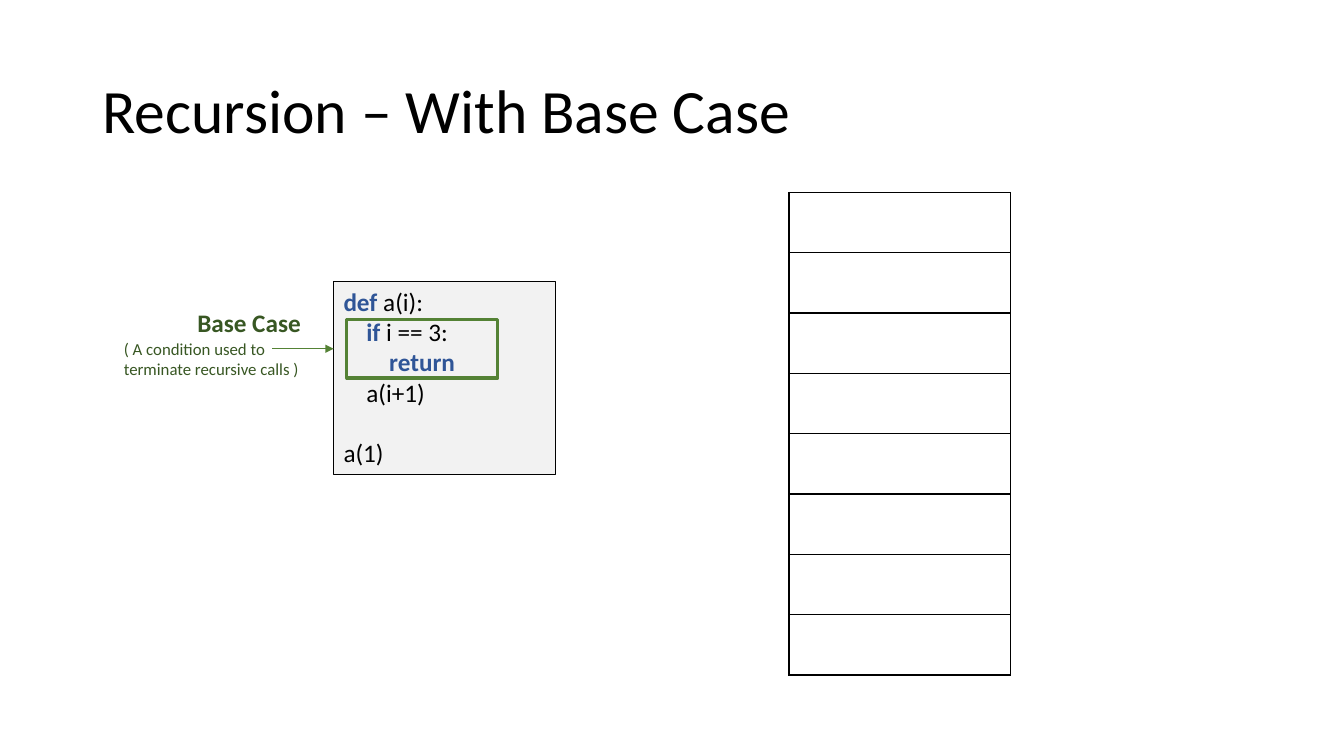
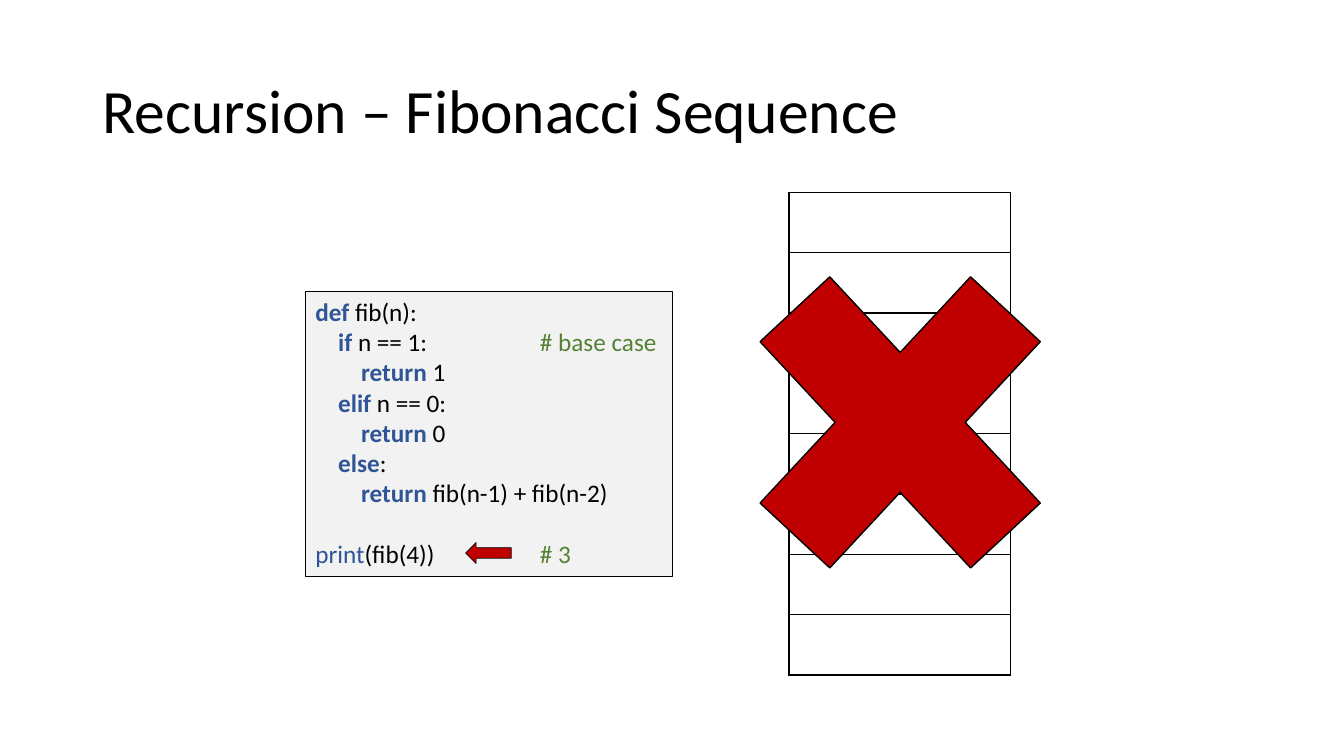
from lxml.etree import SubElement
from pptx import Presentation
from pptx.dml.color import RGBColor
from pptx.enum.shapes import MSO_CONNECTOR as Connector, MSO_SHAPE as Shape
from pptx.enum.text import MSO_ANCHOR as Anchor, PP_ALIGN as Align
from pptx.oxml import parse_xml
from pptx.oxml.ns import nsdecls, qn
from pptx.util import Pt

# Shared style
FONT = "Calibri"
BLACK, GREY = "000000", "F2F2F2"
KEYWORD_BLUE, GREEN, DARK_GREEN, RED = "2F5597", "548235", "385723", "C00000"
CODE_SIZE = 18
LINE_HEIGHT = 21.6
INDENT_STEP = 16.3
COMMENT_TAB = 160.4
FRAME_COUNT, FRAME_WIDTH, FRAME_HEIGHT = 8, 158.4, 43.1
STACK_LEFT, STACK_TOP = 563.6, 137.4


def color(hex_text):
    return RGBColor.from_string(hex_text)


def points(*lengths):
    return [Pt(length) for length in lengths]


def add_text(paragraph, text, size=CODE_SIZE, ink=BLACK, bold=False):
    run = paragraph.add_run()
    run.text = text
    font = run.font
    font.name, font.size, font.bold = FONT, Pt(size), bold
    font.color.rgb = color(ink)


def next_paragraph(frame, index):
    return frame.paragraphs[0] if index == 0 else frame.add_paragraph()


def add_titled_slide(deck, heading):
    slide = deck.slides.add_slide(deck.slide_layouts[5])
    title = slide.shapes.title
    title.left, title.top, title.width, title.height = points(66, 28.8, 828, 104.4)
    title.text_frame.vertical_anchor = Anchor.MIDDLE
    paragraph = title.text_frame.paragraphs[0]
    paragraph.alignment, paragraph.line_spacing = Align.LEFT, 0.9
    add_text(paragraph, heading, size=44)
    return slide


def add_figure(slide, kind, box, fill=None, line=BLACK, weight=1.0):
    figure = slide.shapes.add_shape(kind, *points(*box))
    figure.shadow.inherit = False
    if fill:
        figure.fill.solid()
        figure.fill.fore_color.rgb = color(fill)
    else:
        figure.fill.background()
    figure.line.color.rgb = color(line)
    figure.line.width = Pt(weight)
    return figure


def add_label(slide, box, lines, **style):
    frame = slide.shapes.add_textbox(*points(*box)).text_frame
    frame.word_wrap = False
    for index, line in enumerate(lines):
        add_text(next_paragraph(frame, index), line, **style)


def add_code(slide, box, lines):
    """Each line is (level, keyword, rest, comment); None leaves a gap."""
    panel = add_figure(slide, Shape.RECTANGLE, box, fill=GREY, weight=0.25)
    frame = panel.text_frame
    frame.vertical_anchor = Anchor.TOP
    count, gap = 0, 0
    for line in lines:
        if line is None:
            gap = LINE_HEIGHT
            continue
        level, keyword, rest, comment = line
        paragraph = next_paragraph(frame, count)
        paragraph.alignment, paragraph.space_before = Align.LEFT, Pt(gap)
        properties = paragraph._p.get_or_add_pPr()
        properties.set("indent", str(Pt(level * INDENT_STEP)))
        # One tab leads to the comment column
        properties.set("defTabSz", str(Pt(COMMENT_TAB)))
        if keyword:
            add_text(paragraph, keyword, ink=KEYWORD_BLUE, bold=keyword != "print")
        if rest:
            add_text(paragraph, rest)
        if comment:
            add_text(paragraph, "\t" + comment, ink=GREEN)
        count, gap = count + 1, 0


def set_borders(cell, line=BLACK, weight=1):
    properties = cell._tc.get_or_add_tcPr()
    for index, side in enumerate("LRTB"):
        properties.insert(index, parse_xml(
            f'<a:ln{side} {nsdecls("a")} w="{Pt(weight)}"><a:solidFill>'
            f'<a:srgbClr val="{line}"/></a:solidFill></a:ln{side}>'))


def add_call_stack(slide):
    box = points(STACK_LEFT, STACK_TOP, FRAME_WIDTH, FRAME_COUNT * FRAME_HEIGHT)
    stack = slide.shapes.add_table(FRAME_COUNT, 1, *box).table
    stack.first_row = stack.horz_banding = False
    for row in stack.rows:
        row.height = Pt(FRAME_HEIGHT)
        cell = row.cells[0]
        cell.fill.background()
        set_borders(cell)


def add_arrow(slide, start, end, line=GREEN, weight=1):
    arrow = slide.shapes.add_connector(Connector.STRAIGHT, *points(*start, *end))
    arrow.line.color.rgb = color(line)
    arrow.line.width = Pt(weight)
    SubElement(arrow.line._get_or_add_ln(), qn("a:tailEnd"), type="triangle")
    SubElement(arrow._element.spPr, qn("a:effectLst"))


def build_base_case(deck):
    slide = add_titled_slide(deck, "Recursion – With Base Case")
    add_code(slide, (238.3, 200.9, 158.4, 138.2), [
        (0, "def", " a(i):", ""),
        (1, "if", " i == 3:", ""),
        (2, "return", "", ""),
        (1, "", "a(i+1)", ""),
        None,
        (0, "", "a(1)", ""),
    ])
    add_call_stack(slide)
    # Base case callout
    add_figure(slide, Shape.RECTANGLE, (247.7, 228.2, 108, 41.8),
               line=GREEN, weight=2.25)
    add_arrow(slide, (194.4, 249.1), (238.3, 249.1))
    add_label(slide, (133.9, 216, 89.3, 28.8), ["Base Case"],
              ink=DARK_GREEN, bold=True)
    add_label(slide, (81.4, 238.3, 141.1, 36),
              ["( A condition used to", "terminate recursive calls )"],
              size=12, ink=DARK_GREEN)


def build_fibonacci(deck):
    slide = add_titled_slide(deck, "Recursion – Fibonacci Sequence")
    add_call_stack(slide)
    add_code(slide, (218.2, 208.1, 262.1, 203.8), [
        (0, "def", " fib(n):", ""),
        (1, "if", " n == 1:", "# base case"),
        (2, "return", " 1", ""),
        (1, "elif", " n == 0:", ""),
        (2, "return", " 0", ""),
        (1, "else", ":", ""),
        (2, "return", " fib(n-1) + fib(n-2)", ""),
        None,
        (0, "print", "(fib(4))", "# 3"),
    ])
    # Current line marker and crossed-out stack
    add_figure(slide, Shape.LEFT_ARROW, (332.6, 387.4, 32.6, 15.1),
               fill=RED, weight=0.5)
    add_figure(slide, Shape.MATH_MULTIPLY, (498.3, 146.2, 289.4, 311), fill=RED)


def main():
    deck = Presentation()
    deck.slide_width, deck.slide_height = points(960, 540)
    build_base_case(deck)
    build_fibonacci(deck)
    deck.save("out.pptx")


if __name__ == "__main__":
    main()
